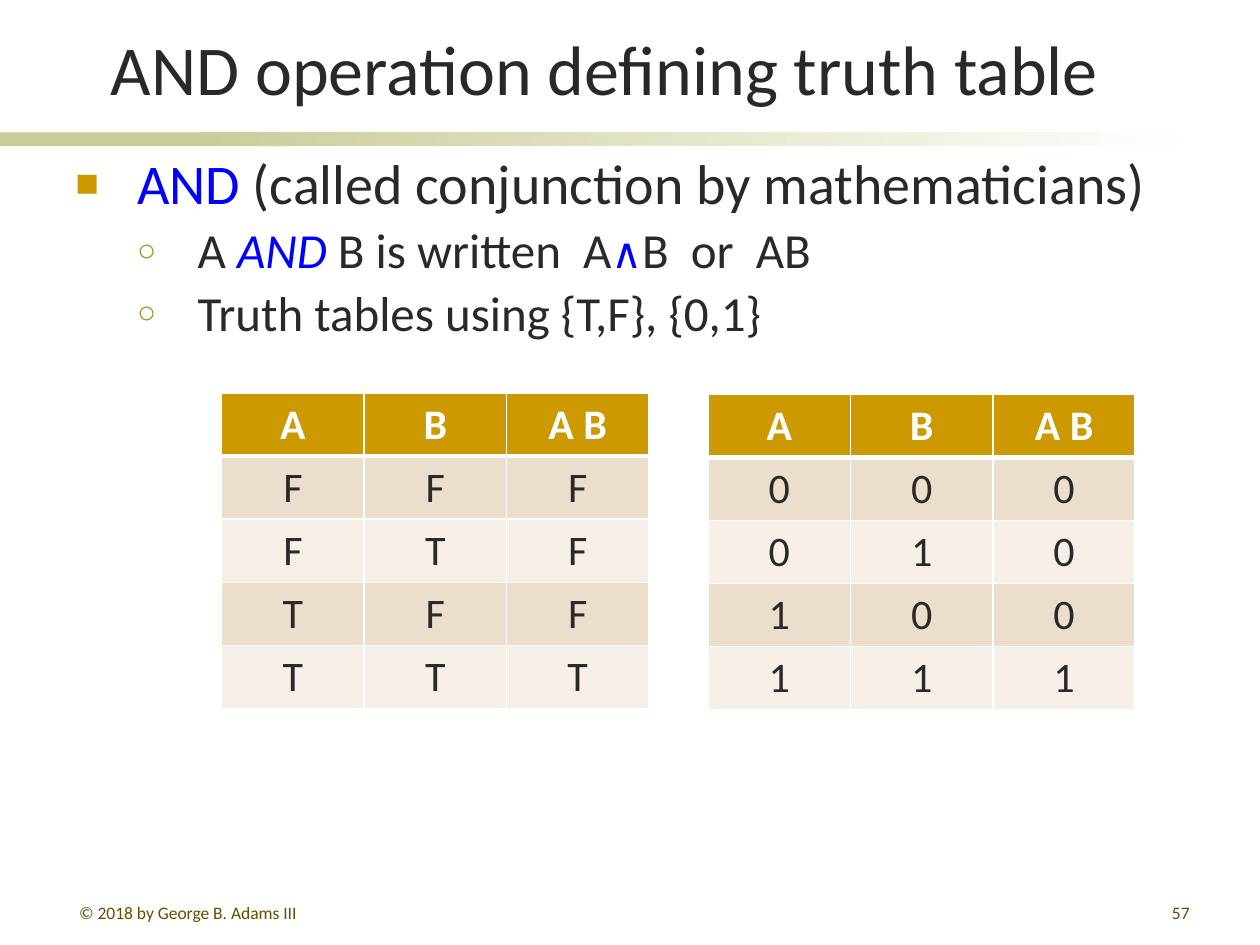
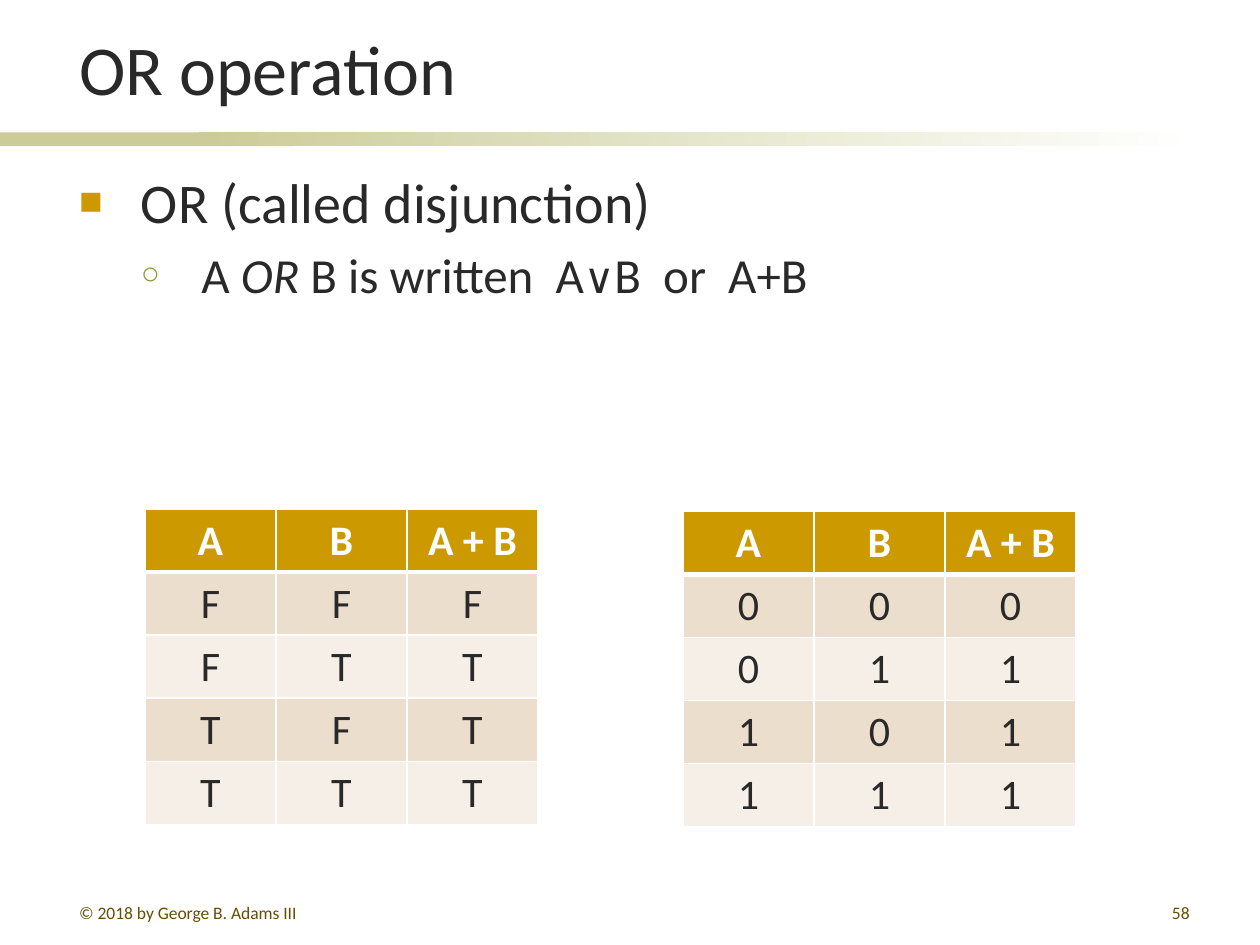
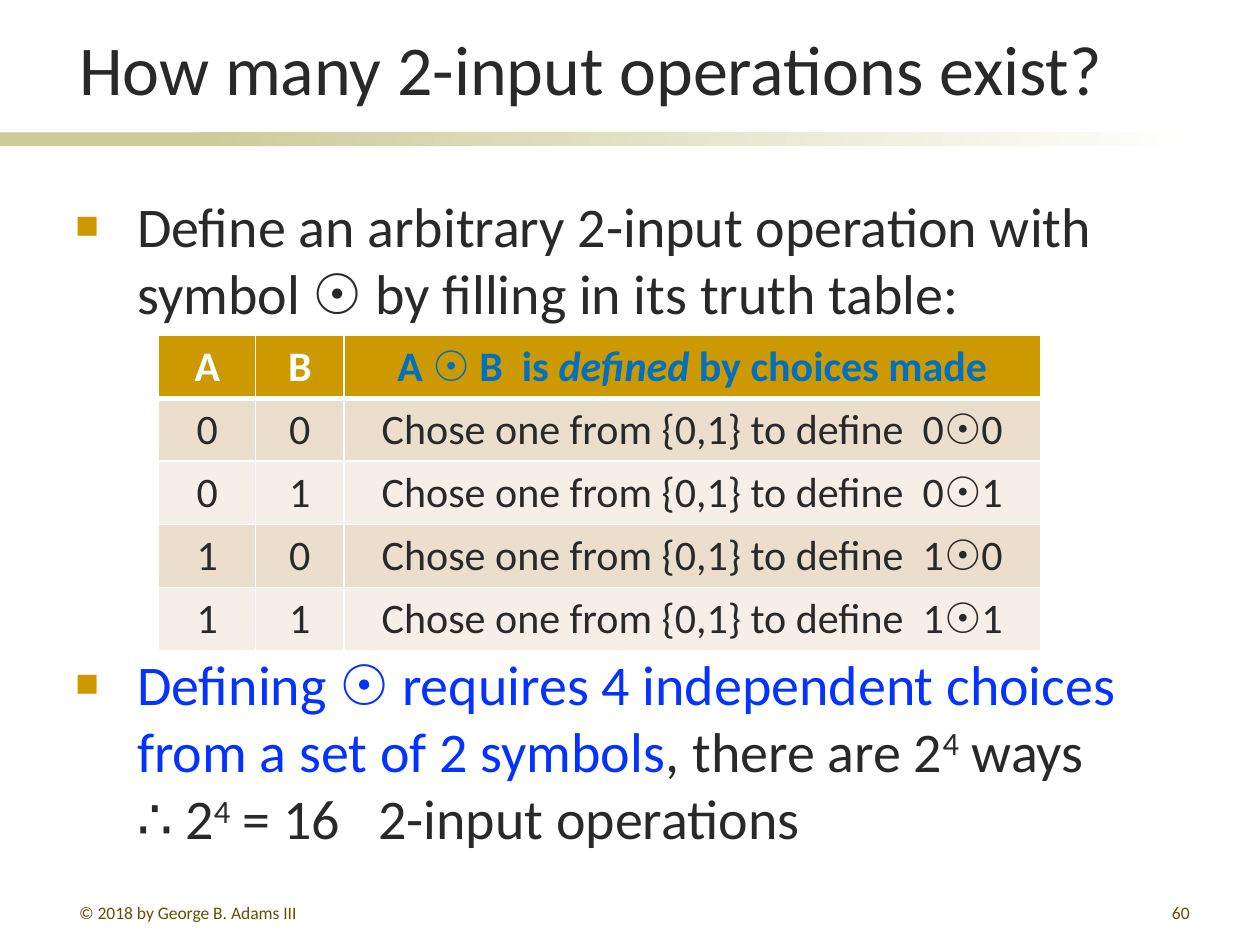
from dataclasses import dataclass

from pptx import Presentation
from pptx.dml.color import RGBColor
from pptx.enum.shapes import MSO_SHAPE
from pptx.enum.text import MSO_ANCHOR, PP_ALIGN
from pptx.oxml.ns import qn
from pptx.util import Inches, Pt
from lxml.etree import SubElement


@dataclass(frozen=True)
class Theme:
    font: str = "Calibri"
    ink: str = "292929"
    white: str = "FFFFFF"
    gold: str = "CC9900"
    olive: str = "999933"
    band: str = "CCCC99"
    footer: str = "664D00"
    blue: str = "0000FF"
    bright_blue: str = "0432FF"
    header_blue: str = "0070C0"
    row_fills: tuple = ("ECDECC", "F6EFE7")
    title_size: int = 40
    body_sizes: tuple = (32, 28)
    symbol_size: int = 24
    table_size: int = 24
    footer_size: int = 10


THEME = Theme()
# Per outline level: left margin, hanging indent, bullet, colour, percent size
BULLETS = (
    (0.49, -0.49, "■", THEME.gold, 70),
    (0.97, -0.48, "○", THEME.olive, 65),
)
COPYRIGHT = "© 2018 by George B. Adams III"
ROW_HEIGHT = 0.5
LETTERS, DIGITS = "FT", "01"
INPUTS = ((0, 0), (0, 1), (1, 0), (1, 1))


def add_runs(p, runs, **base):
    """Add runs to p: each is a string or (string, format changes); "\\n" breaks the line."""
    for item in [runs] if isinstance(runs, str) else runs:
        text, changes = (item, {}) if isinstance(item, str) else item
        if text == "\n":
            p.add_line_break()
            continue
        style = {"name": THEME.font, "color": THEME.ink, **base, **changes}
        color, raised = style.pop("color"), style.pop("baseline", None)
        r = p.add_run()
        r.text = text
        r.font.color.rgb = RGBColor.from_string(color)
        for key, value in style.items():
            setattr(r.font, key, Pt(value) if key == "size" else value)
        if raised:
            r.font._element.set("baseline", str(raised * 1000))


def add_box(s, x, y, w, h):
    tf = s.shapes.add_textbox(Inches(x), Inches(y), Inches(w), Inches(h)).text_frame
    tf.word_wrap = True
    return tf


def add_band(s, x, w):
    sp = s.shapes.add_shape(MSO_SHAPE.RECTANGLE, Inches(x), Inches(1.05), Inches(w), Inches(0.11))
    sp.shadow.inherit = False
    sp.line.fill.background()
    return sp.fill


def add_footer(s, x, w, text, align):
    p = add_box(s, x, 7.11, w, 0.21).paragraphs[0]
    p.alignment = align
    add_runs(p, text, size=THEME.footer_size, color=THEME.footer)


def add_base_slide(prs, title, number, indent=0):
    """Add a slide with the bands, title and footers that every slide has."""
    s = prs.slides.add_slide(prs.slide_layouts[6])
    solid = add_band(s, 0, 2.33)
    solid.solid()
    solid.fore_color.rgb = RGBColor.from_string(THEME.band)
    fade = add_band(s, 1.58, 7.92)
    fade.gradient()
    fade.gradient_angle = 0
    for stop, color in zip(fade.gradient_stops, (THEME.band, THEME.white)):
        stop.color.rgb = RGBColor.from_string(color)

    tf = add_box(s, 0.53, 0.11, 9.01, 0.81)
    tf.vertical_anchor = MSO_ANCHOR.BOTTOM
    tf.margin_left += Inches(indent)
    add_runs(tf.paragraphs[0], title, size=THEME.title_size)
    add_footer(s, 0.53, 2.17, COPYRIGHT, PP_ALIGN.LEFT)
    add_footer(s, 7.46, 2.08, str(number), PP_ALIGN.RIGHT)
    return s


def set_bullet(p, level):
    margin, indent, char, color, size = BULLETS[level]
    pPr = p._p.get_or_add_pPr()
    pPr.set("marL", str(Inches(margin)))
    pPr.set("indent", str(Inches(indent)))
    SubElement(SubElement(pPr, qn("a:buClr")), qn("a:srgbClr")).set("val", color)
    SubElement(pPr, qn("a:buSzPct")).set("val", str(size * 1000))
    SubElement(pPr, qn("a:buFont")).set("typeface", "Arial")
    SubElement(pPr, qn("a:buChar")).set("char", char)


def add_outline(s, at, items, line_spacing=1.0, gap=None):
    """Add bulleted (level, runs) items; gap replaces the usual space between them."""
    tf = add_box(s, *at)
    for i, (level, runs) in enumerate(items):
        p = tf.add_paragraph() if i else tf.paragraphs[0]
        size = THEME.body_sizes[level]
        set_bullet(p, level)
        p.level = level
        p.line_spacing = line_spacing
        if i:
            p.space_before = Pt(gap or 0.2 * size)
        add_runs(p, runs, size=size)


def set_borders(cell, bottom):
    tcPr = cell._tc.get_or_add_tcPr()
    for i, (side, width) in enumerate((("L", 1), ("R", 1), ("T", 1), ("B", bottom))):
        ln = tcPr.makeelement(qn(f"a:ln{side}"), {"w": str(Pt(width))})
        fill = SubElement(ln, qn("a:solidFill"))
        SubElement(fill, qn("a:srgbClr")).set("val", THEME.white)
        tcPr.insert(i, ln)


def add_truth_table(s, x, y, widths, rows):
    table = s.shapes.add_table(len(rows), len(widths), Inches(x), Inches(y),
                               Inches(sum(widths)), Inches(ROW_HEIGHT * len(rows))).table
    for column, width in zip(table.columns, widths):
        column.width = Inches(width)
    for i, row in enumerate(rows):
        header = i == 0
        fill = THEME.gold if header else THEME.row_fills[(i - 1) % 2]
        color = THEME.white if header else THEME.ink
        for j, runs in enumerate(row):
            cell = table.cell(i, j)
            cell.fill.solid()
            cell.fill.fore_color.rgb = RGBColor.from_string(fill)
            set_borders(cell, bottom=3 if header else 1)
            p = cell.text_frame.paragraphs[0]
            p.alignment = PP_ALIGN.CENTER
            add_runs(p, runs, size=THEME.table_size, color=color, bold=header)


def operation_rows(heading, operation, symbols):
    """Truth table of a 2-input operation, written with the given false and true symbols."""
    return [("A", "B", heading)] + [
        tuple(symbols[v] for v in (a, b, operation(a, b))) for a, b in INPUTS]


def build_and_slide(prs):
    s = add_base_slide(prs, "AND operation defining truth table", 57, indent=0.25)
    blue = {"color": THEME.blue}
    add_outline(s, (0.5, 1.19, 9.21, 4.95), [
        (0, [("AND", blue), " (called conjunction by mathematicians)"]),
        (1, ["A ", ("AND", {"italic": True, **blue}), " B is written  A",
             ("∧", {"size": THEME.symbol_size, **blue}), "B  or  AB"]),
        (1, "Truth tables using {T,F}, {0,1}"),
    ], line_spacing=0.9)
    for x, y, symbols in ((1.76, 3.12, LETTERS), (5.62, 3.13, DIGITS)):
        add_truth_table(s, x, y, [1.13] * 3,
                        operation_rows("A B", lambda a, b: a & b, symbols))


def build_or_slide(prs):
    s = add_base_slide(prs, "OR operation", 58)
    add_outline(s, (0.53, 1.28, 9.02, 5.39), [
        (0, "OR (called disjunction)"),
        (1, ["A ", ("OR", {"italic": True}), " B is written  A",
             ("∨", {"size": THEME.symbol_size}), "B  or  A+B"]),
    ])
    for x, y, symbols in ((1.15, 4.04, LETTERS), (5.42, 4.06, DIGITS)):
        add_truth_table(s, x, y, [1.04] * 3,
                        operation_rows("A + B", lambda a, b: a | b, symbols))


def build_count_slide(prs):
    s = add_base_slide(prs, "How many 2-input operations exist?", 60)
    power = ("4", {"baseline": 30})
    add_outline(s, (0.5, 1.47, 9, 5.64), [
        (0, "Define an arbitrary 2-input operation with symbol ☉ by filling in its truth table:"),
        (0, [("Defining ☉ requires 4 independent choices from a set of 2 symbols",
              {"color": THEME.bright_blue}),
             ", there are 2", power, " ways", "\n",
             "∴ 2", power, " = 16   2-input operations"]),
    ], gap=185)
    blue = {"color": THEME.header_blue}
    heading = [("A ☉ B  is ", blue), ("defined ", {"italic": True, **blue}),
               ("by choices made", blue)]
    rows = [("A", "B", heading)] + [
        (str(a), str(b), f"Chose one from {{0,1}} to define  {a}☉{b}") for a, b in INPUTS]
    add_truth_table(s, 1.26, 2.66, [0.77, 0.7, 5.53], rows)


def main():
    prs = Presentation()
    prs.slide_width, prs.slide_height = Inches(10), Inches(7.5)
    build_and_slide(prs)
    build_or_slide(prs)
    build_count_slide(prs)
    prs.save("out.pptx")


if __name__ == "__main__":
    main()
